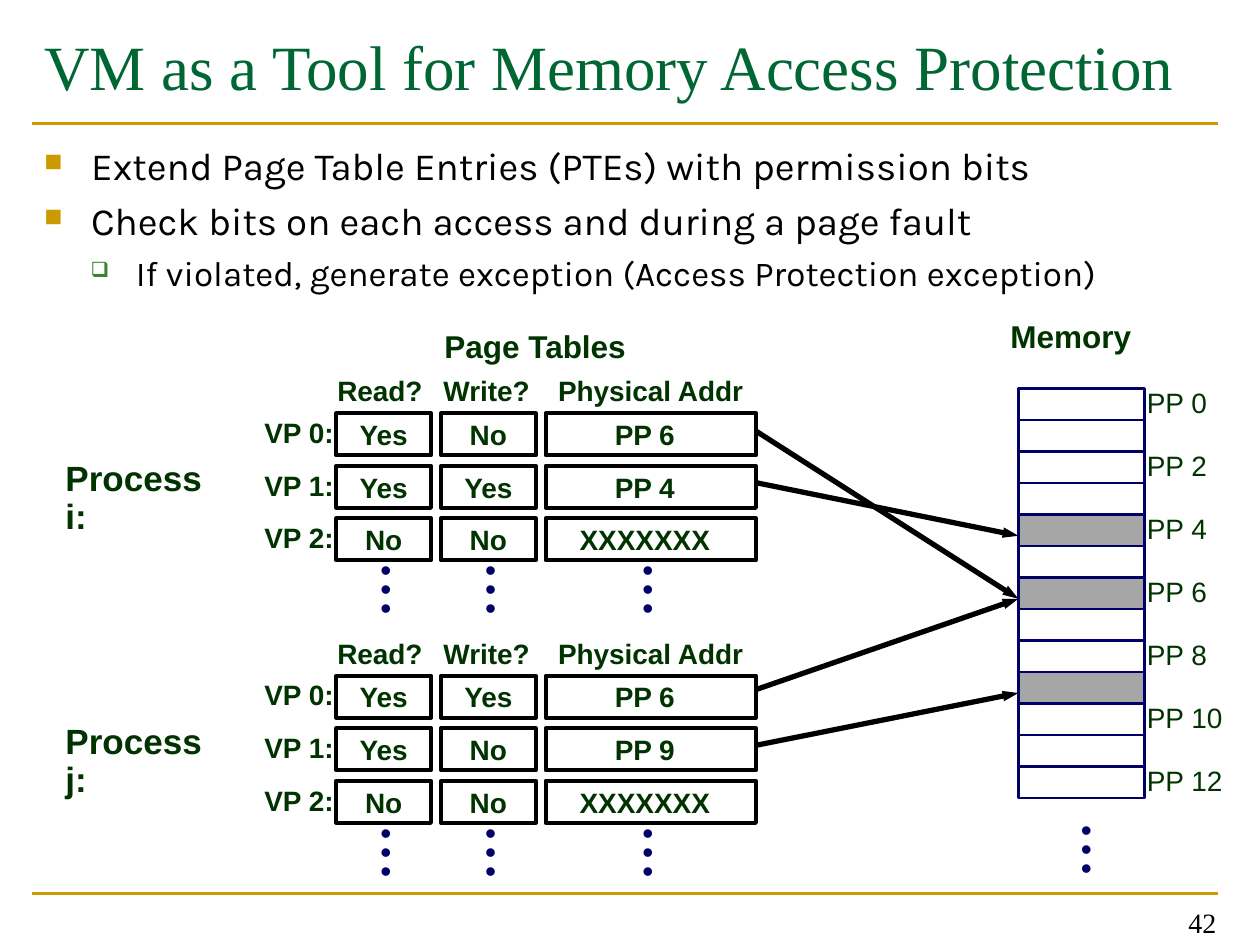
from pptx import Presentation
from pptx.dml.color import RGBColor
from pptx.enum.shapes import MSO_CONNECTOR as Connector, MSO_SHAPE as Preset
from pptx.enum.text import MSO_ANCHOR as Anchor, MSO_AUTO_SIZE as AutoSize, PP_ALIGN as Align
from pptx.oxml.ns import qn
from pptx.util import Cm, Pt
from lxml.etree import SubElement

GREEN = RGBColor(0x00, 0x66, 0x33)
DARK_GREEN = RGBColor(0x00, 0x33, 0x00)
LEAF = RGBColor(0x3B, 0x81, 0x2F)
GOLD = RGBColor(0xCC, 0x99, 0x00)
NAVY = RGBColor(0x00, 0x00, 0x66)
BLACK = RGBColor(0x00, 0x00, 0x00)
WHITE = RGBColor(0xFF, 0xFF, 0xFF)
GRAY = RGBColor(0xA6, 0xA6, 0xA6)

COLUMNS = [
    {"head": "Read?", "head_box": (6.55, 2.24), "cell": (6.78, 1.91), "dots": 7.42, "right": 0},
    {"head": "Write?", "head_box": (8.69, 2.26), "cell": (8.89, 1.91), "dots": 9.53, "right": 0},
    {"head": "Physical Addr", "head_box": (11.0, 4.27), "cell": (11.0, 4.24), "dots": 12.7, "right": 0.12},
]
ROW_PITCH = 1.06
ROW_HEIGHT = 0.85
MEMORY_LEFT, MEMORY_TOP, MEMORY_WIDTH = 20.53, 7.83, 2.54
PAGE_COUNT = 13
PAGE_HEIGHT = 8.26 / PAGE_COUNT
USED_PAGES = (4, 6, 9)


class SlideBuilder:
    def __init__(self, slide):
        self.slide = slide
        self.label_style = {"name": "Arial", "size": Pt(16), "bold": True}

    def style(self, paragraph, color, **changes):
        for name, value in {**self.label_style, **changes}.items():
            setattr(paragraph.font, name, value)
        paragraph.font.color.rgb = color

    def text(self, lines, left, top, width, height, color=DARK_GREEN, frame=None, layout=None, **font):
        shape = self.slide.shapes.add_textbox(Cm(left), Cm(top), Cm(width), Cm(height))
        for name, value in {"word_wrap": True, **(frame or {})}.items():
            setattr(shape.text_frame, name, value)
        shape.text_frame.text = "\n".join(lines)
        for paragraph in shape.text_frame.paragraphs:
            for name, value in (layout or {}).items():
                setattr(paragraph, name, value)
            self.style(paragraph, color, **font)
        return shape

    def label(self, text, left, top, width, height=0.86, wrap=False, **font):
        frame = {"word_wrap": wrap, "auto_size": AutoSize.SHAPE_TO_FIT_TEXT}
        return self.text([text], left, top, width, height, frame=frame,
                         layout={"line_spacing": 0.9}, **font)

    def dots(self, left, top):
        self.text(["•"] * 3, left, top, 0.69, 1.45, NAVY, size=Pt(18), bold=False,
                  layout={"alignment": Align.CENTER, "line_spacing": 0.5})

    def box(self, left, top, width, height, fill, line, weight, text="", right=0):
        shape = self.slide.shapes.add_shape(Preset.RECTANGLE, Cm(left), Cm(top), Cm(width), Cm(height))
        shape.shadow.inherit = False
        shape.fill.solid()
        shape.fill.fore_color.rgb = fill
        shape.line.color.rgb = line
        shape.line.width = Pt(weight)
        if text:
            margins = {"margin_left": 0, "margin_right": Cm(2 * right), "margin_top": 0,
                       "margin_bottom": 0, "vertical_anchor": Anchor.MIDDLE}
            for name, value in margins.items():
                setattr(shape.text_frame, name, value)
            shape.text_frame.text = text
            paragraph = shape.text_frame.paragraphs[0]
            paragraph.alignment = Align.CENTER
            self.style(paragraph, DARK_GREEN)

    def line(self, start, end, color, weight, arrow=False):
        points = [Cm(value) for value in (*start, *end)]
        connector = self.slide.shapes.add_connector(Connector.STRAIGHT, *points)
        connector.line.color.rgb = color
        connector.line.width = Pt(weight)
        if arrow:
            SubElement(connector.line._get_or_add_ln(), qn("a:tailEnd"), type="triangle", w="sm", len="med")
        SubElement(connector._element.spPr, qn("a:effectLst"))

    def bullets(self, items, left, top, width, height):
        shape = self.text([item["text"] for item in items], left, top, width, height,
                          BLACK, name="Karla", bold=False)
        for index, (paragraph, item) in enumerate(zip(shape.text_frame.paragraphs, items)):
            paragraph.level = item["level"]
            paragraph.space_before = Pt(5 if index else 0)
            properties = paragraph._p.get_or_add_pPr()
            properties.set("marL", str(Cm(item["margin"])))
            properties.set("indent", str(-Cm(item["hanging"])))
            color = SubElement(properties, qn("a:buClr"))
            SubElement(color, qn("a:srgbClr"), val=str(item["color"]))
            SubElement(properties, qn("a:buSzPct"), val=str(item["percent"] * 1000))
            SubElement(properties, qn("a:buChar"), char=item["mark"])
            for element in properties.findall(qn("a:defRPr")):
                properties.append(element)
            paragraph.font.size = Pt(item["size"])

    def page_table(self, process, top, rows):
        self.label(process, 1.07, top + 1.69, 3.3, 1.6, wrap=True, size=Pt(20))
        row_tops = [top + 0.84 + index * ROW_PITCH for index in range(len(rows))]
        for index, row_top in enumerate(row_tops):
            self.label(f"VP {index}:", 5.08, row_top, 1.91)
        for column, values in zip(COLUMNS, zip(*rows)):
            left, width = column["head_box"]
            self.label(column["head"], left, top, width)
            left, width = column["cell"]
            for row_top, value in zip(row_tops, values):
                self.box(left, row_top, width, ROW_HEIGHT, WHITE, BLACK, 2.25, value, column["right"])
            self.dots(column["dots"], top + 3.81)

    def memory(self):
        self.label("Memory", 20.12, 6.35, 2.95, 0.94, size=Pt(18))
        for page in range(PAGE_COUNT):
            fill = GRAY if page in USED_PAGES else WHITE
            top = MEMORY_TOP + page * PAGE_HEIGHT
            self.box(MEMORY_LEFT, top, MEMORY_WIDTH, PAGE_HEIGHT, fill, NAVY, 1.5)
            if page % 2 == 0:
                self.label(f"PP {page}", 22.87, top - 0.11, 1.73 if page < 10 else 2.06, bold=False)
        self.dots(21.54, 16.54)


def main():
    presentation = Presentation()
    presentation.slide_width = Cm(25.4)
    presentation.slide_height = Cm(19.05)
    builder = SlideBuilder(presentation.slides.add_slide(presentation.slide_layouts[6]))

    for rule_top in (18.01, 2.49):
        builder.line((0.64, rule_top), (24.56, rule_top), GOLD, 1.5)
    serif = {"name": "Times New Roman", "bold": False}
    builder.text(["VM as a Tool for Memory Access Protection"], 0.64, 0.43, 23.93, 2.97,
                 GREEN, size=Pt(36), **serif)
    builder.text(["42"], 18.85, 17.78, 5.92, 1.27, BLACK, {"vertical_anchor": Anchor.BOTTOM},
                 {"alignment": Align.RIGHT}, size=Pt(16), **serif)

    main_point = {"level": 0, "margin": 0.95, "hanging": 0.95, "mark": "■",
                  "color": GOLD, "percent": 65, "size": 22}
    sub_point = {"level": 1, "margin": 1.85, "hanging": 0.91, "mark": "❑",
                 "color": LEAF, "percent": 60, "size": 20}
    builder.bullets([
        {**main_point, "text": "Extend Page Table Entries (PTEs) with permission bits"},
        {**main_point, "text": "Check bits on each access and during a page fault"},
        {**sub_point, "text": "If violated, generate exception (Access Protection exception)"},
    ], 0.64, 2.74, 23.93, 3.61)

    builder.label("Page Tables", 8.71, 6.55, 4.22, 0.94, size=Pt(18))
    builder.memory()
    arrows = [((15.24, 9.73), 10.8), ((14.81, 14.05), 12.07),
              ((15.24, 8.69), 12.07), ((14.81, 15.11), 13.97)]
    for start, target in arrows:
        builder.line(start, (MEMORY_LEFT, target), BLACK, 3, arrow=True)
    builder.page_table("Process i:", 7.49, [
        ("Yes", "No", "PP 6"), ("Yes", "Yes", "PP 4"), ("No", "No", "XXXXXXX")])
    builder.page_table("Process j:", 12.78, [
        ("Yes", "Yes", "PP 6"), ("Yes", "No", "PP 9"), ("No", "No", "XXXXXXX")])
    presentation.save("out.pptx")


if __name__ == "__main__":
    main()
